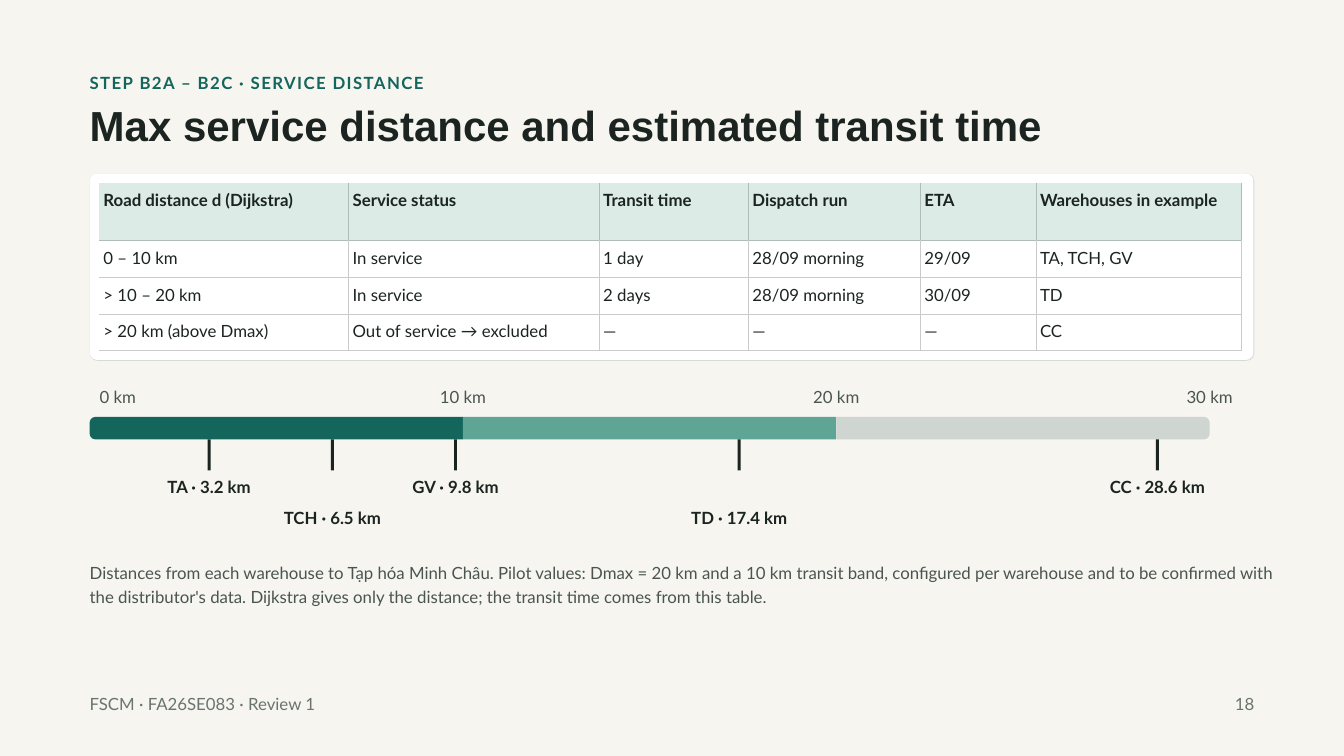
from lxml.etree import SubElement
from pptx import Presentation
from pptx.dml.color import RGBColor
from pptx.enum.shapes import MSO_SHAPE
from pptx.enum.text import PP_ALIGN
from pptx.oxml.ns import qn
from pptx.util import Cm, Pt

INK, MUTED, FAINT, GREEN = "1B2420", "4A5550", "6A746F", "14655B"
LEFT, WIDTH, TEXT_WIDTH = 3.39, 44.02, 45.34
LINE_HEIGHT = 1.09

HEADERS = ["Road distance d (Dijkstra)", "Service status", "Transit time",
           "Dispatch run", "ETA", "Warehouses in example"]
ROWS = [
    ["0 – 10 km", "In service", "1 day", "28/09 morning", "29/09", "TA, TCH, GV"],
    ["> 10 – 20 km", "In service", "2 days", "28/09 morning", "30/09", "TD"],
    ["> 20 km (above Dmax)", "Out of service → excluded", "—", "—", "—", "CC"],
]
COLUMN_WIDTHS = [9.42, 9.47, 5.64, 6.5, 4.37, 7.78]
WAREHOUSES = [("TA", 3.2), ("TCH", 6.5), ("GV", 9.8), ("TD", 17.4), ("CC", 28.6)]


def color(hex_string):
    return RGBColor.from_string(hex_string)


def format_text(text_frame, size=18, font="Lato", ink=INK, bold=False,
                align=PP_ALIGN.LEFT, line=25.2, spacing=0):
    for paragraph in text_frame.paragraphs:
        paragraph.alignment = align
        paragraph.line_spacing = Pt(line)
        for run in paragraph.runs:
            run.font.size = Pt(size)
            run.font.name = font
            run.font.bold = bold
            run.font.color.rgb = color(ink)
            if spacing:
                run.font._element.set("spc", str(round(spacing * 100)))


def add_text(slide, text, left, top, width, height=LINE_HEIGHT, **style):
    shape = slide.shapes.add_textbox(Cm(left), Cm(top), Cm(width), Cm(height))
    frame = shape.text_frame
    frame.margin_left = frame.margin_right = 0
    frame.margin_top = frame.margin_bottom = 0
    frame.word_wrap = True
    frame.text = text
    format_text(frame, **style)


def add_block(slide, preset, left, top, width, height, fill, radius=None, rotation=0):
    shape = slide.shapes.add_shape(preset, Cm(left), Cm(top), Cm(width), Cm(height))
    shape.shadow.inherit = False
    shape.fill.solid()
    shape.fill.fore_color.rgb = color(fill)
    shape.line.fill.background()
    shape.rotation = rotation
    if radius is not None:
        shape.adjustments[0] = radius


def set_border(cell, side, ink):
    properties = cell._tc.get_or_add_tcPr()
    line = SubElement(properties, qn(f"a:ln{side}"), w=str(Pt(1) if ink else 0))
    if ink:
        fill = SubElement(line, qn("a:solidFill"))
        SubElement(fill, qn("a:srgbClr"), val=ink)
    else:
        SubElement(line, qn("a:noFill"))


def add_heading(slide, left, top, width):
    add_text(slide, "STEP B2A – B2C · SERVICE DISTANCE", left, top, width,
             ink=GREEN, bold=True, spacing=1.5)
    add_text(slide, "Max service distance and estimated transit time",
             left, top + 1.27, width, 1.8, size=45, font="Arial", bold=True, line=49.5)


def fill_cell(cell, text, row, column):
    is_header = row == 0
    grid = "B0BCB7" if is_header else "CBCBCB"
    above = None if is_header else "B0BCB7" if row == 1 else grid
    for side, ink in (("L", grid if column else None), ("R", grid),
                      ("T", above), ("B", grid)):
        set_border(cell, side, ink)
    if is_header:
        cell.fill.solid()
        cell.fill.fore_color.rgb = color("DCEBE5")
    else:
        cell.fill.background()
    cell.margin_left = cell.margin_right = Cm(0.15)
    cell.margin_top = cell.margin_bottom = Cm(0.15)
    cell.text_frame.text = text
    format_text(cell.text_frame, bold=is_header)


def add_table_card(slide, left, top, width, height):
    rim = 0.03
    for inset, fill in ((0, "D5DCD7"), (rim, "FFFFFF")):
        add_block(slide, MSO_SHAPE.ROUNDED_RECTANGLE, left, top,
                  width - inset, height - inset, fill, radius=0.04)
    rows = [HEADERS] + ROWS
    table = slide.shapes.add_table(
        len(rows), len(HEADERS), Cm(left + 0.37), Cm(top + 0.35),
        Cm(sum(COLUMN_WIDTHS)), Cm(6.35)).table
    table.first_row = table.horz_banding = False
    for column, column_width in zip(table.columns, COLUMN_WIDTHS):
        column.width = Cm(column_width)
    for index, row in enumerate(rows):
        table.rows[index].height = Cm(1.39 if index else 2.18)
        for column, text in enumerate(row):
            fill_cell(table.cell(index, column), text, index, column)


def add_distance_scale(slide, left, top, width):
    band, bar_height = width / 3, 0.85
    bar_top = top + 1.28
    tick_top = bar_top + bar_height
    middle_offset = (band - bar_height) / 2
    for index, (fill, rotation) in enumerate(((GREEN, 270), ("5FA595", 0), ("CFD5D1", 90))):
        band_left = left + index * band
        if rotation:
            add_block(slide, MSO_SHAPE.ROUND_2_SAME_RECTANGLE,
                      band_left + middle_offset, bar_top - middle_offset,
                      bar_height, band, fill, radius=0.25, rotation=rotation)
        else:
            add_block(slide, MSO_SHAPE.RECTANGLE, band_left, bar_top, band, bar_height, fill)
    label_width = 2.34
    for index in range(4):
        center = max(left + index * band, left + 1.06)
        add_text(slide, f"{index * 10} km", center - label_width / 2, top,
                 label_width, ink=MUTED, align=PP_ALIGN.CENTER)
    tick_width, name_width = 0.11, 4.44
    for index, (name, distance) in enumerate(WAREHOUSES):
        center = left + distance * band / 10
        add_block(slide, MSO_SHAPE.RECTANGLE, center - tick_width / 2, tick_top,
                  tick_width, 1.17, INK)
        add_text(slide, f"{name} · {distance} km", center - name_width / 2,
                 tick_top + 1.28 + index % 2 * 1.17, name_width,
                 bold=True, align=PP_ALIGN.CENTER)


def add_note(slide, left, top, width):
    add_text(slide, "Distances from each warehouse to Tạp hóa Minh Châu. Pilot values: "
             "Dmax = 20 km and a 10 km transit band, configured per warehouse and to be "
             "confirmed with the distributor's data. Dijkstra gives only the distance; "
             "the transit time comes from this table.", left, top, width, 1.98, ink=MUTED)


def add_footer(slide, left, top, width):
    number_width = 5.5
    add_text(slide, "FSCM · FA26SE083 · Review 1", left, top, 24.5, ink=FAINT)
    add_text(slide, "18", left + width - number_width, top, number_width,
             ink=FAINT, align=PP_ALIGN.RIGHT)


def main():
    presentation = Presentation()
    presentation.slide_width, presentation.slide_height = Cm(50.8), Cm(28.58)
    slide = presentation.slides.add_slide(presentation.slide_layouts[6])
    slide.background.fill.solid()
    slide.background.fill.fore_color.rgb = color("F6F5F0")
    add_heading(slide, LEFT, 2.64, TEXT_WIDTH)
    add_table_card(slide, LEFT, 6.56, WIDTH, 7.08)
    add_distance_scale(slide, LEFT, 14.48, 42.33)
    add_note(slide, LEFT, 21.16, TEXT_WIDTH)
    add_footer(slide, LEFT, 26.11, WIDTH)
    presentation.save("out.pptx")


if __name__ == "__main__":
    main()
